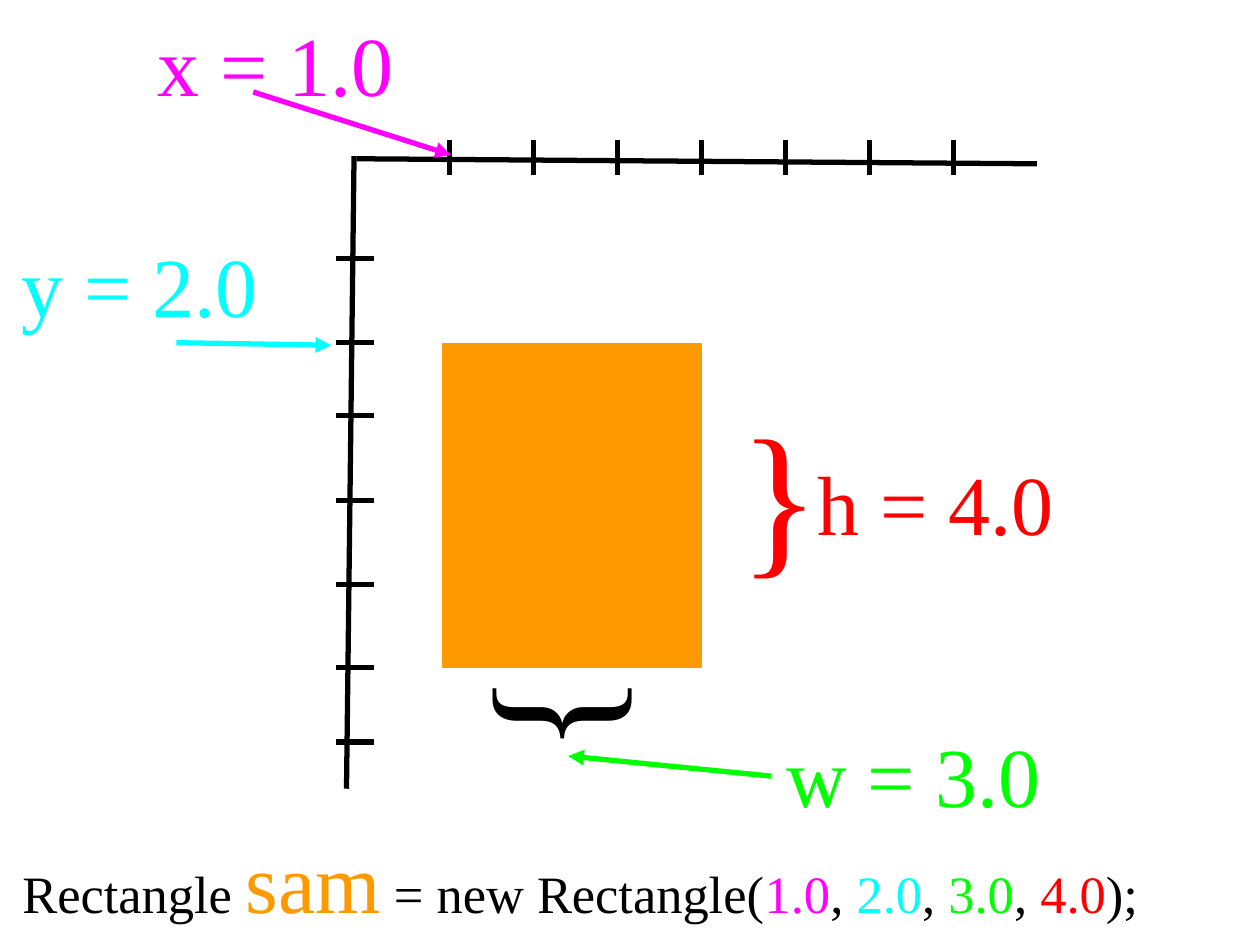
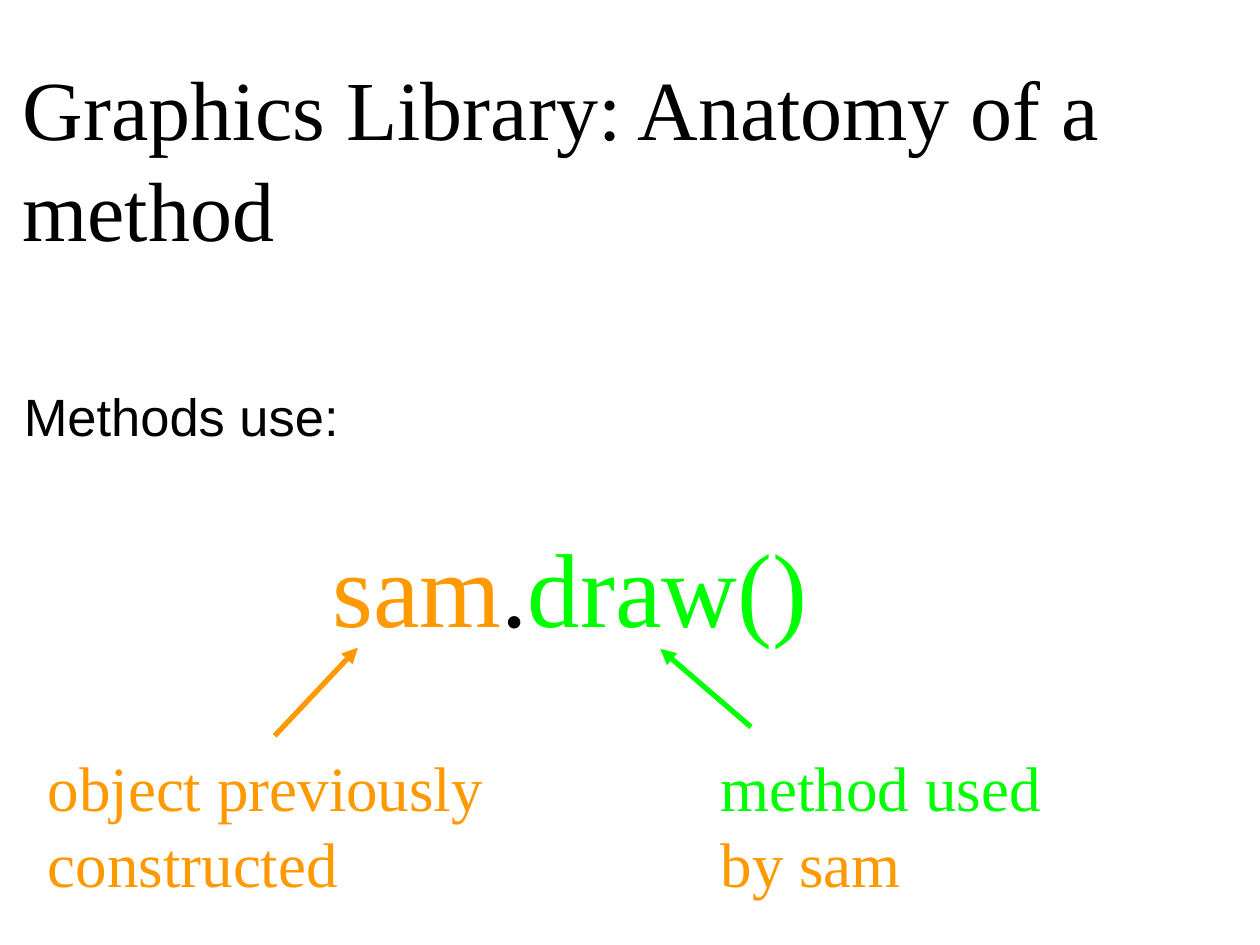
from pptx import Presentation
from pptx.dml.color import RGBColor
from pptx.enum.shapes import MSO_CONNECTOR as CONNECTOR, MSO_SHAPE as SHAPE
from pptx.oxml.ns import qn
from pptx.util import Inches, Pt
from lxml.etree import SubElement

COLORS = {
    "ink": "000000",
    "object": "FF9900",
    "x": "FF00FF",
    "y": "00FFFF",
    "w": "00FF00",
    "h": "FF0000",
    "method": "00FF00",
}
SERIF, SANS = "Times New Roman", "Arial"


def rgb(name):
    return RGBColor.from_string(COLORS[name])


def add_run(p, text, *, size, color="ink", font=SERIF):
    r = p.add_run()
    r.text = text
    r.font.size = Pt(size)
    r.font.name = font
    r.font.color.rgb = rgb(color)


class Deck:
    """Shared style and the slide being drawn."""

    line_width = 3
    margin = 0.1

    def __init__(self, prs):
        self.prs = prs
        self.slide = None

    def new_slide(self):
        self.slide = self.prs.slides.add_slide(self.prs.slide_layouts[6])

    def line(self, start, end, color="ink", arrow=False):
        points = [Inches(v) for v in (*start, *end)]
        sp = self.slide.shapes.add_connector(CONNECTOR.STRAIGHT, *points)
        sp.line.color.rgb = rgb(color)
        sp.line.width = Pt(self.line_width)
        if arrow:
            SubElement(sp.line._get_or_add_ln(), qn("a:tailEnd"), type="triangle")
        SubElement(sp._element.spPr, qn("a:effectLst"))

    def rect(self, left, top, width, height, color):
        box = [Inches(v) for v in (left, top, width, height)]
        sp = self.slide.shapes.add_shape(SHAPE.RECTANGLE, *box)
        sp.shadow.inherit = False
        sp.fill.solid()
        sp.fill.fore_color.rgb = rgb(color)
        sp.line.color.rgb = rgb(color)
        sp.line.width = Pt(0.75)

    def text(self, left, top, width, height, paragraphs, *, size=48,
             font=SERIF, inset=margin, rotation=0):
        """Each paragraph is a list of (text, color) or (text, color, size)."""
        box = [Inches(v) for v in (left, top, width, height)]
        sp = self.slide.shapes.add_textbox(*box)
        sp.rotation = rotation
        tf = sp.text_frame
        tf.word_wrap = True
        tf.margin_left = tf.margin_right = Inches(self.margin)
        tf.margin_top = Inches(inset)
        tf.margin_bottom = Inches(min(inset, self.margin))
        for i, runs in enumerate(paragraphs):
            p = tf.add_paragraph() if i else tf.paragraphs[0]
            for text, color, *own_size in runs:
                add_run(p, text, color=color, font=font,
                        size=own_size[0] if own_size else size)


def constructor_slide(deck):
    deck.new_slide()

    # Axes and their tick marks
    deck.line((2.81, 1.24), (2.75, 6.26))
    deck.line((2.83, 1.26), (8.23, 1.3))
    for i in range(7):
        x = 3.57 + i * 2 / 3
        deck.line((x, 1.39), (x, 1.11))
    for y in (2.05, 2.72, 3.3, 3.97, 4.64, 5.3, 5.89):
        deck.line((2.67, y), (2.97, y))

    # The rectangle and the call that constructs it
    deck.rect(3.51, 2.73, 2.06, 2.57, "object")
    call = [("Rectangle ", "ink", 30), ("sam", "object"),
            (" = new Rectangle(", "ink", 30)]
    for i, name in enumerate("xywh"):
        if i:
            call.append((", ", "ink", 30))
        call.append((f"{i + 1}.0", name, 30))
    call.append((");", "ink", 30))
    deck.text(0.08, 6.48, 9.52, 0.94, [call])

    # Braces for height and width
    deck.text(5.77, 2.98, 0.66, 0.94, [[("}", "h")]], size=96)
    deck.text(4.8, 5.27, 0.99, 0.94, [[("}", "ink")]], size=96, inset=0.34,
              rotation=90)

    # Argument labels and arrows
    for name, value, left, top, width in (
        ("x", "1.0", 1.15, 0, 2.59),
        ("y", "2.0", 0.07, 1.75, 2.59),
        ("w", "3.0", 6.14, 5.64, 2.46),
        ("h", "4.0", 6.39, 3.48, 2.21),
    ):
        deck.text(left, top, width, 0.94, [[(f"{name} = {value}", name)]])
    deck.line((2.01, 0.73), (3.58, 1.23), "x", arrow=True)
    deck.line((1.4, 2.72), (2.63, 2.74), "y", arrow=True)
    deck.line((6.12, 6.16), (4.51, 6), "w", arrow=True)


def method_slide(deck):
    deck.new_slide()

    # Title and lead-in
    deck.text(0.08, 0.4, 9.91, 1.91,
              [[("Graphics Library: Anatomy of a method", "ink")]], inset=0.05)
    deck.text(0.09, 2.95, 9.91, 1.05, [[("Methods use:", "ink")]], size=30,
              font=SANS)

    # Method call
    deck.text(2.54, 4.05, 4.41, 0.94,
              [[("sam", "object"), (".", "ink"), ("draw()", "method")]], size=60)

    # Explanations of both parts
    deck.text(0.28, 5.84, 3.79, 0.94,
              [[("object previously", "object")], [("constructed", "object")]],
              size=36)
    deck.line((2.18, 5.84), (2.84, 5.14), "object", arrow=True)
    deck.line((5.96, 5.77), (5.24, 5.15), "method", arrow=True)
    deck.text(5.62, 5.84, 3.79, 0.94,
              [[("method used", "method")], [("by sam", "object")]], size=36)


def main():
    prs = Presentation()
    prs.slide_width, prs.slide_height = Inches(10), Inches(7.5)
    deck = Deck(prs)
    constructor_slide(deck)
    method_slide(deck)
    prs.save("out.pptx")


if __name__ == "__main__":
    main()
